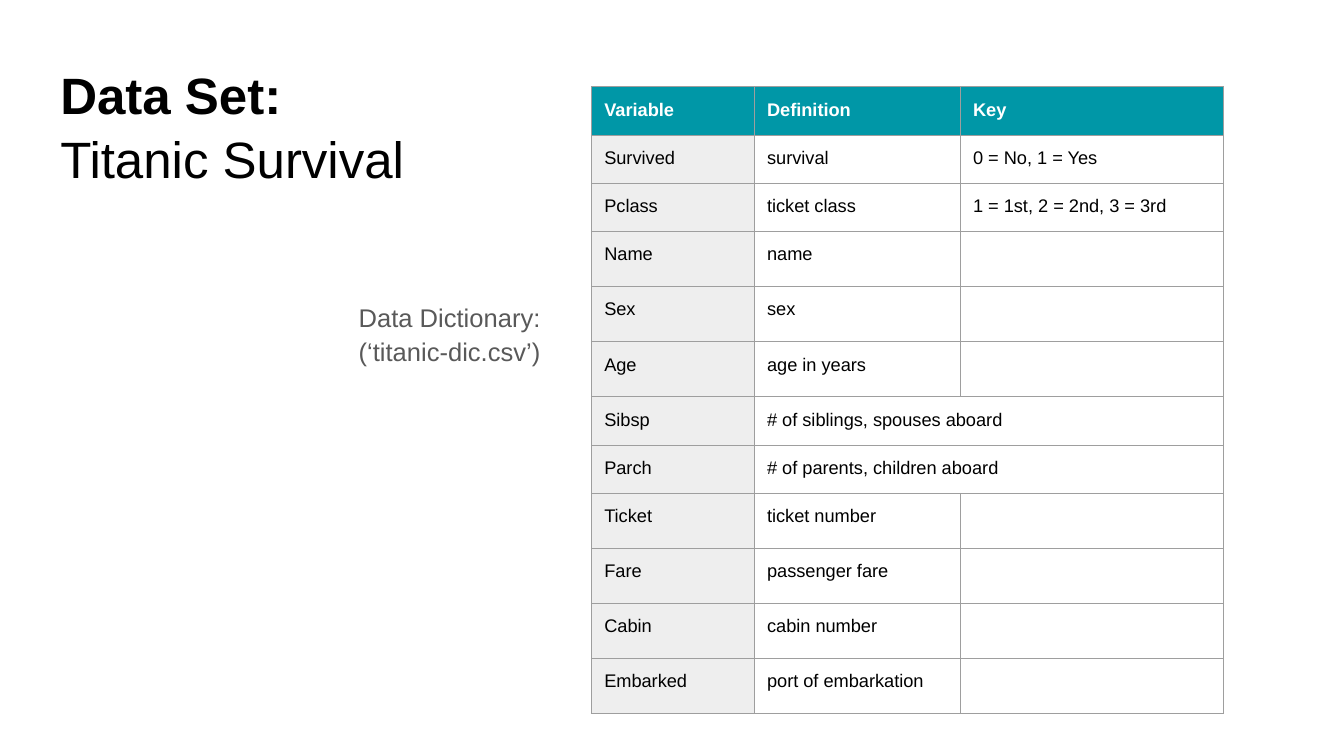
import pptx
import pptx.util
import pptx.dml.color
import pptx.enum.text
import pptx.oxml
import pptx.oxml.ns
from dataclasses import dataclass

Pt = pptx.util.Pt
RGB = pptx.dml.color.RGBColor.from_string
ANCHOR = pptx.enum.text.MSO_ANCHOR
ALIGN = pptx.enum.text.PP_ALIGN


@dataclass(frozen=True)
class Theme:
    font: str = "Arial"
    title_size: float = 28
    label_size: float = 14
    cell_size: float = 10
    ink: str = "000000"
    muted: str = "595959"
    paper: str = "FFFFFF"
    header: str = "0097A7"
    first_column: str = "EEEEEE"
    border: str = "9E9E9E"
    border_width: float = 0.25
    inset: float = 7.2


THEME = Theme()
ROWS = [
    ("Variable", "Definition", "Key"),
    ("Survived", "survival", "0 = No, 1 = Yes"),
    ("Pclass", "ticket class", "1 = 1st, 2 = 2nd, 3 = 3rd"),
    ("Name", "name", ""),
    ("Sex", "sex", ""),
    ("Age", "age in years", ""),
    ("Sibsp", "# of siblings, spouses aboard"),
    ("Parch", "# of parents, children aboard"),
    ("Ticket", "ticket number", ""),
    ("Fare", "passenger fare", ""),
    ("Cabin", "cabin number", ""),
    ("Embarked", "port of embarkation", ""),
]
COLUMN_WIDTHS = (89.3, 113, 144.7)
ROW_HEIGHT = 25.5
OPEN_ROW_HEIGHT = 30.2


def set_insets(target):
    target.margin_left = target.margin_right = Pt(THEME.inset)
    target.margin_top = target.margin_bottom = Pt(THEME.inset)


def format_runs(p, size, color, bold=False):
    for r in p.runs:
        r.font.name = THEME.font
        r.font.size = Pt(size)
        r.font.bold = bold
        r.font.color.rgb = RGB(color)


def add_text(s, box, lines, size, color, spacing, align, anchor, bold_lines=0):
    tf = s.shapes.add_textbox(*map(Pt, box)).text_frame
    tf.word_wrap = True
    tf.vertical_anchor = anchor
    set_insets(tf)
    tf.text = "\n".join(lines)
    for i, p in enumerate(tf.paragraphs):
        p.alignment = align
        p.line_spacing = spacing
        format_runs(p, size, color, i < bold_lines)


def add_title(s, box):
    add_text(s, box, ("Data Set:", "Titanic Survival"), THEME.title_size,
             THEME.ink, 1.04, ALIGN.LEFT, ANCHOR.MIDDLE, bold_lines=1)


def add_dictionary_label(s, box):
    add_text(s, box, ("Data Dictionary:", "(‘titanic-dic.csv’)"), THEME.label_size,
             THEME.muted, 1.09, ALIGN.RIGHT, ANCHOR.TOP)


def add_borders(cell):
    tcPr = cell._tc.get_or_add_tcPr()
    for i, side in enumerate(("lnL", "lnR", "lnT", "lnB")):
        tcPr.insert(i, pptx.oxml.parse_xml(
            f'<a:{side} {pptx.oxml.ns.nsdecls("a")} w="{Pt(THEME.border_width)}">'
            f'<a:solidFill><a:srgbClr val="{THEME.border}"/></a:solidFill></a:{side}>'))


def style_cell(cell, text, fill, color, bold):
    cell.fill.solid()
    cell.fill.fore_color.rgb = RGB(fill)
    add_borders(cell)
    if text:
        set_insets(cell)
        cell.text = text
        format_runs(cell.text_frame.paragraphs[0], THEME.cell_size, color, bold)


def add_dictionary_table(s, left, top):
    heights = [OPEN_ROW_HEIGHT if row[-1] == "" else ROW_HEIGHT for row in ROWS]
    table = s.shapes.add_table(len(ROWS), len(COLUMN_WIDTHS), Pt(left), Pt(top),
                               Pt(sum(COLUMN_WIDTHS)), Pt(sum(heights))).table
    table.horz_banding = False
    for column, width in zip(table.columns, COLUMN_WIDTHS):
        column.width = Pt(width)
    for i, (row, height) in enumerate(zip(ROWS, heights)):
        table.rows[i].height = Pt(height)
        if len(row) < len(COLUMN_WIDTHS):
            table.cell(i, 1).merge(table.cell(i, 2))
        for j in range(len(COLUMN_WIDTHS)):
            text = row[j] if j < len(row) else ""
            body_fill = THEME.first_column if j == 0 else THEME.paper
            style_cell(table.cell(i, j), text,
                       THEME.header if i == 0 else body_fill,
                       THEME.paper if i == 0 else THEME.ink, i == 0)


def main():
    prs = pptx.Presentation()
    prs.slide_width, prs.slide_height = Pt(737.28), Pt(414)
    s = prs.slides.add_slide(prs.slide_layouts[6])
    add_title(s, (26, 26, 284.4, 85))
    add_dictionary_label(s, (139.7, 157, 164, 51))
    add_dictionary_table(s, 324.3, 47.5)
    prs.save("out.pptx")


if __name__ == "__main__":
    main()
